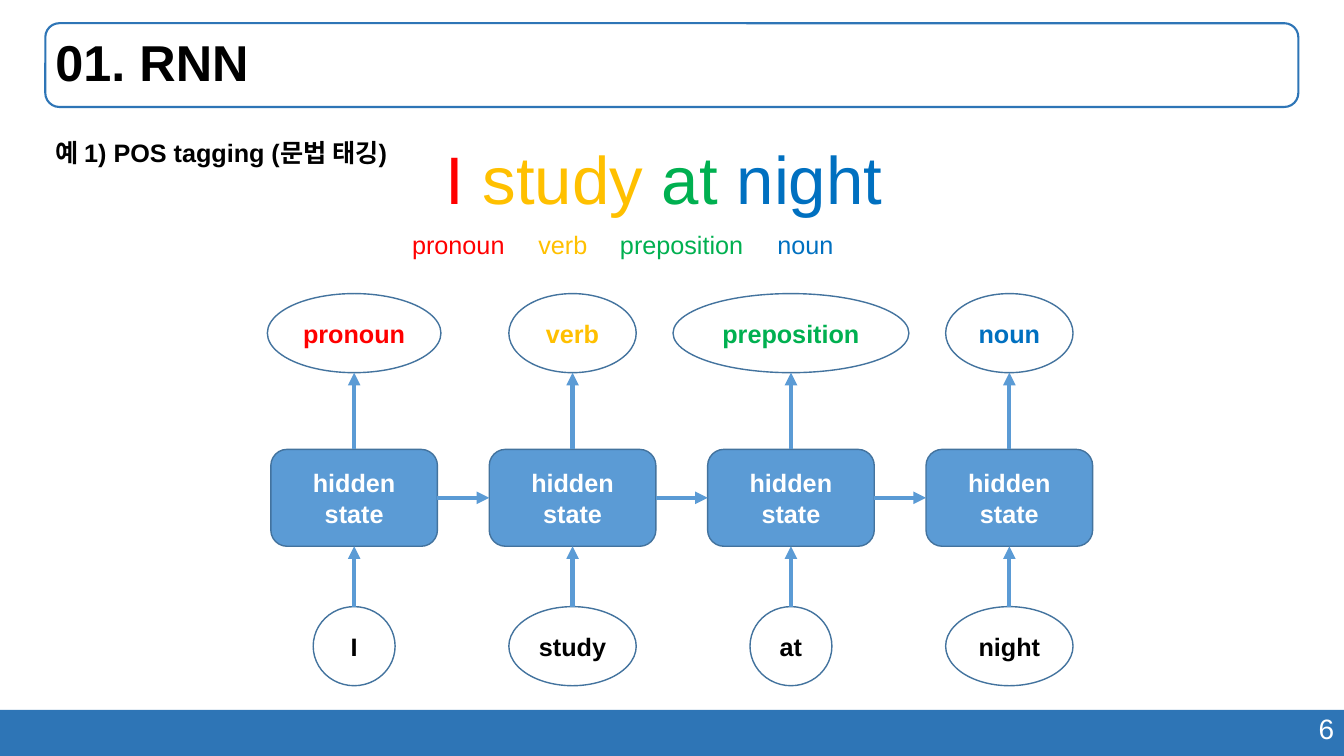
import pptx
import pptx.util
import pptx.dml.color
import pptx.enum.shapes
import pptx.enum.text
import pptx.oxml
import pptx.oxml.ns

Pt = pptx.util.Pt
RGB = pptx.dml.color.RGBColor
SHAPE = pptx.enum.shapes.MSO_SHAPE
ALIGN = pptx.enum.text.PP_ALIGN
MIDDLE = pptx.enum.text.MSO_ANCHOR.MIDDLE

RED, AMBER = RGB(0xFF, 0, 0), RGB(0xFF, 0xC0, 0)
GREEN, BLUE = RGB(0, 0xB0, 0x50), RGB(0, 0x70, 0xC0)
BLACK, WHITE = RGB(0, 0, 0), RGB(0xFF, 0xFF, 0xFF)
BAND, STATE, OUTLINE = RGB(0x2E, 0x75, 0xB6), RGB(0x5B, 0x9B, 0xD5), RGB(0x43, 0x73, 0x9E)

TITLE = "01. RNN"
EXAMPLE = "예 1) POS tagging (문법 태깅)"
PAGE = "6"
# word, word ellipse width, tag, tag ellipse width, tag label width, colour
STEPS = [
    ("I", 58.5, "pronoun", 124, 81.4, RED),
    ("study", 91, "verb", 91, 49.7, AMBER),
    ("at", 58.5, "preposition", 168.5, 103.7, GREEN),
    ("night", 91, "noun", 91, 54.7, BLUE),
]
SLIDE_W, SLIDE_H = 960, 540
HEADER = (32.4, 16.6, 895, 59.8)
FIRST_X, PITCH = 253, 156
STATE_W, STATE_H, STATE_Y = 119, 69.2, 321
NODE_H, TAG_Y, WORD_Y = 56.5, 209.7, 433.3
LABEL_X, LABEL_Y, LABEL_GAP = 287.3, 160, 8.7

prs = pptx.Presentation()
prs.slide_width, prs.slide_height = Pt(SLIDE_W), Pt(SLIDE_H)
s = prs.slides.add_slide(prs.slide_layouts[5])


def write(sp, runs, size, bold=False, align=ALIGN.LEFT, wrap=True, anchor=None):
    """Fill a shape with one paragraph of (text, colour) runs."""
    tf = sp.text_frame
    tf.word_wrap = wrap
    if anchor is not None:
        tf.vertical_anchor = anchor
    p = tf.paragraphs[0]
    p.alignment = align
    for text, colour in runs:
        r = p.add_run()
        r.text = text
        for name, value in {"name": "Arial", "size": Pt(size), "bold": bold}.items():
            setattr(r.font, name, value)
        r.font.color.rgb = colour
    return p


def add_text(box, runs, size, **layout):
    """Add a text box."""
    write(s.shapes.add_textbox(*map(Pt, box)), runs, size, **layout)


def add_shape(kind, box, fill=None, line=None, width=1):
    """Add a shadowless shape with an optional fill and outline."""
    sp = s.shapes.add_shape(kind, *map(Pt, box))
    sp.shadow.inherit = False
    if fill is None:
        sp.fill.background()
    else:
        sp.fill.solid()
        sp.fill.fore_color.rgb = fill
    if line is None:
        sp.line.fill.background()
    else:
        sp.line.color.rgb = line
        sp.line.width = Pt(width)
    return sp


def add_node(kind, x, y, w, h, text, colour, fill=None, wrap=False):
    """Add a labelled network node centred on x."""
    sp = add_shape(kind, (x - w / 2, y, w, h), fill, OUTLINE)
    write(sp, [(text, colour)], 18, True, ALIGN.CENTER, wrap, MIDDLE)


def add_arrow(x1, y1, x2, y2):
    """Add a straight arrow."""
    line = s.shapes.add_connector(
        pptx.enum.shapes.MSO_CONNECTOR.STRAIGHT, *map(Pt, (x1, y1, x2, y2)))
    line.line.color.rgb = STATE
    line.line.width = Pt(3)
    ln = line.line._get_or_add_ln()
    ln.append(pptx.oxml.parse_xml(
        '<a:tailEnd %s type="triangle"/>' % pptx.oxml.ns.nsdecls("a")))
    ln.addnext(pptx.oxml.parse_xml('<a:effectLst %s/>' % pptx.oxml.ns.nsdecls("a")))


# Frame
add_shape(SHAPE.RECTANGLE, (0, 507, SLIDE_W, 33), BAND)
add_text((679, 505, 281, 31.5), [(PAGE, WHITE)], 20, align=ALIGN.RIGHT)
add_shape(SHAPE.ROUNDED_RECTANGLE, HEADER, line=BAND, width=1.5)
title = s.shapes.title
for name, value in zip(("left", "top", "width", "height"), HEADER):
    setattr(title, name, Pt(value))
write(title, [(TITLE, BLACK)], 36, True, anchor=MIDDLE).line_spacing = 0.9

# Example sentence with its tags
add_text((32.4, 94.3, 263, 29), [(EXAMPLE, BLACK)], 18, bold=True)
sentence = [(step[0] + (" " if step is not STEPS[-1] else ""), step[-1]) for step in STEPS]
add_text((311, 94.3, 330.5, 65.5), sentence, 48, wrap=False)
label_x = LABEL_X
for _, _, tag, _, label_w, colour in STEPS:
    add_text((label_x, LABEL_Y, label_w, 29), [(tag, colour)], 18, wrap=False)
    label_x += label_w + LABEL_GAP

# Network: one column per word
for i, (word, word_w, tag, tag_w, _, colour) in enumerate(STEPS):
    x = FIRST_X + i * PITCH
    add_node(SHAPE.ROUNDED_RECTANGLE, x, STATE_Y, STATE_W, STATE_H,
             "hidden state", WHITE, STATE, wrap=True)
    add_node(SHAPE.OVAL, x, WORD_Y, word_w, NODE_H, word, BLACK)
    add_node(SHAPE.OVAL, x, TAG_Y, tag_w, NODE_H, tag, colour)
    add_arrow(x, WORD_Y, x, STATE_Y + STATE_H)
    add_arrow(x, STATE_Y, x, TAG_Y + NODE_H)
    if i:
        y = STATE_Y + STATE_H / 2
        add_arrow(x - PITCH + STATE_W / 2, y, x - STATE_W / 2, y)

prs.save("out.pptx")
